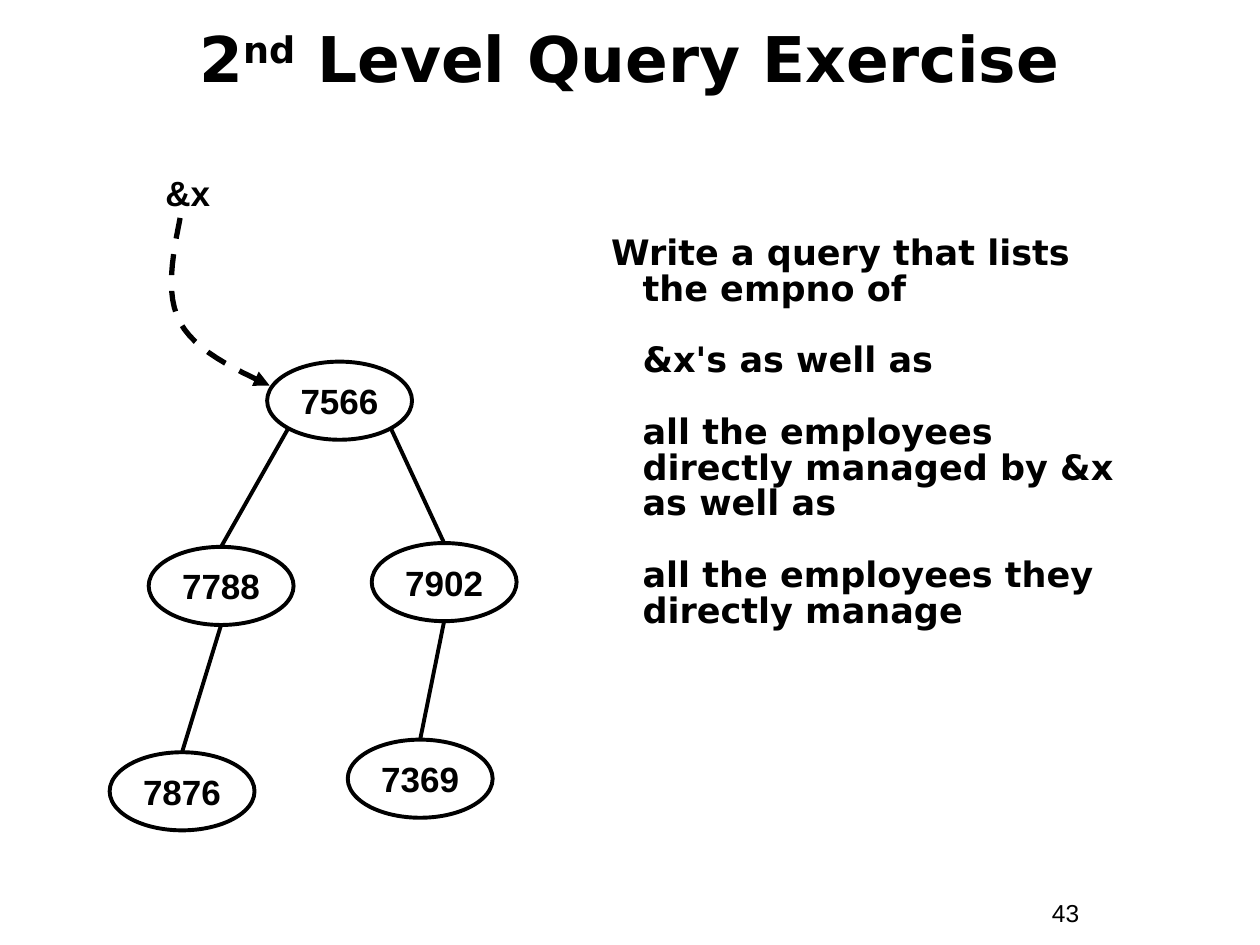
import copy
import math

import pptx
import pptx.dml.color
import pptx.enum.dml
import pptx.enum.shapes
import pptx.enum.text
import pptx.oxml
import pptx.oxml.ns
import pptx.util
from pptx.util import Inches

COLORS = {"ink": "000000"}
HEADING_FONT, LABEL_FONT = "DejaVu Sans", "Arial"
MARGINS = {"margin_left": Inches(0.1), "margin_right": Inches(0.1),
           "margin_top": Inches(0.05), "margin_bottom": Inches(0.05)}
NODE_WIDTH, NODE_HEIGHT = 1.15, 0.62
# Employee number: left and top within the tree region
NODES = {"7566": (1.25, 1.56), "7788": (0.31, 3.03), "7902": (2.08, 3.0),
         "7876": (0, 4.66), "7369": (1.89, 4.56)}
# Manager, employee, side of the manager that the line leaves (-1, 0, 1)
EDGES = [("7566", "7788", -1), ("7566", "7902", 1),
         ("7788", "7876", 0), ("7902", "7369", 0)]
POINTER_CURVES = [
    [(0.56, 0.42), (0.5, 0.72), (0.44, 1.03), (0.56, 1.25)],
    [(0.56, 1.25), (0.68, 1.47), (0.97, 1.61), (1.27, 1.75)],
]
INSTRUCTIONS = [
    "Write a query that lists\vthe empno of",
    "&x's as well as",
    "all the employees\vdirectly managed by &x\vas well as",
    "all the employees they directly manage",
]


def set_attributes(target, values):
    for name, value in values.items():
        setattr(target, name, value)


def ink():
    return pptx.dml.color.RGBColor.from_string(COLORS["ink"])


def format_runs(paragraph, font_name, size, bold=True):
    """Format every run, and give line breaks the same properties."""
    for run in paragraph.runs:
        set_attributes(run.font, {"name": font_name, "size": pptx.util.Pt(size), "bold": bold})
        run.font.color.rgb = ink()
    for line_break in paragraph._p.findall(pptx.oxml.ns.qn("a:br")):
        line_break.insert(0, copy.deepcopy(paragraph.runs[0]._r.rPr))


def place(shape, box):
    set_attributes(shape, dict(zip(("left", "top", "width", "height"), map(Inches, box))))


def format_frame(frame, anchor, wrap=True):
    set_attributes(frame, {**MARGINS, "vertical_anchor": anchor, "word_wrap": wrap,
                           "auto_size": pptx.enum.text.MSO_AUTO_SIZE.NONE})


def format_line(line, width):
    line.color.rgb = ink()
    line.width = pptx.util.Pt(width)


def fill_title(title, box):
    place(title, box)
    format_frame(title.text_frame, pptx.enum.text.MSO_ANCHOR.MIDDLE)
    paragraph = title.text_frame.paragraphs[0]
    paragraph.alignment = pptx.enum.text.PP_ALIGN.CENTER
    for text in ("2", "nd", " Level Query Exercise"):
        paragraph.add_run().text = text
    format_runs(paragraph, HEADING_FONT, 36)
    paragraph.runs[1].font._element.set("baseline", "30000")


def fill_instructions(body, box):
    place(body, box)
    frame = body.text_frame
    format_frame(frame, pptx.enum.text.MSO_ANCHOR.TOP)
    for index, text in enumerate(INSTRUCTIONS):
        paragraph = frame.add_paragraph() if index else frame.paragraphs[0]
        paragraph.text = text
        properties = paragraph._p.get_or_add_pPr()
        properties.set("marL", str(Inches(0.25)))
        properties.set("indent", str(0 if index else Inches(-0.25)))
        properties.append(pptx.oxml.parse_xml(
            f"<a:buNone {pptx.oxml.ns.nsdecls('a')}/>"))
        set_attributes(paragraph, {"line_spacing": 0.85,
                                   "space_before": pptx.util.Pt(20.5 if index else 0),
                                   "alignment": pptx.enum.text.PP_ALIGN.LEFT})
        format_runs(paragraph, HEADING_FONT, 20)


def add_label(slide, box, text, size, bold, alignment):
    label = slide.shapes.add_textbox(*map(Inches, box))
    format_frame(label.text_frame, pptx.enum.text.MSO_ANCHOR.TOP)
    paragraph = label.text_frame.paragraphs[0]
    paragraph.text = text
    paragraph.alignment = alignment
    format_runs(paragraph, LABEL_FONT, size, bold)


def add_node(slide, left, top, number):
    node = slide.shapes.add_shape(pptx.enum.shapes.MSO_SHAPE.OVAL, Inches(left), Inches(top),
                                  Inches(NODE_WIDTH), Inches(NODE_HEIGHT))
    node.shadow.inherit = False
    node.fill.background()
    format_line(node.line, 2.25)
    format_frame(node.text_frame, pptx.enum.text.MSO_ANCHOR.MIDDLE, wrap=False)
    paragraph = node.text_frame.paragraphs[0]
    paragraph.text = number
    paragraph.alignment = pptx.enum.text.PP_ALIGN.CENTER
    format_runs(paragraph, LABEL_FONT, 20)


def add_edge(slide, left, top, manager, employee, side):
    """Join the lower rim of the manager to the top of the employee."""
    angle = math.radians(90 - 45 * side)
    start_x = left + NODES[manager][0] + NODE_WIDTH / 2 * (1 + math.cos(angle))
    start_y = top + NODES[manager][1] + NODE_HEIGHT / 2 * (1 + math.sin(angle))
    end_x = left + NODES[employee][0] + NODE_WIDTH / 2
    end_y = top + NODES[employee][1]
    edge = slide.shapes.add_connector(pptx.enum.shapes.MSO_CONNECTOR.STRAIGHT,
                                      *map(Inches, (start_x, start_y, end_x, end_y)))
    format_line(edge.line, 2.25)
    edge._element.spPr.append(pptx.oxml.parse_xml(
        f"<a:effectLst {pptx.oxml.ns.nsdecls('a')}/>"))


def curve_points(controls, steps=12):
    """Points along a cubic Bezier curve."""
    for step in range(steps + 1):
        t = step / steps
        weights = [math.comb(3, k) * t ** k * (1 - t) ** (3 - k) for k in range(4)]
        yield tuple(sum(weight * point[axis] for weight, point in zip(weights, controls))
                    for axis in (0, 1))


def add_pointer(slide, left, top):
    points = [(Inches(left + x), Inches(top + y))
              for controls in POINTER_CURVES for x, y in curve_points(controls)]
    builder = slide.shapes.build_freeform(*points[0])
    builder.add_line_segments(points[1:], close=False)
    pointer = builder.convert_to_shape()
    pointer.shadow.inherit = False
    pointer.fill.background()
    format_line(pointer.line, 3)
    pointer.line.dash_style = pptx.enum.dml.MSO_LINE.DASH
    pointer.line._get_or_add_ln().append(pptx.oxml.parse_xml(
        f"<a:tailEnd {pptx.oxml.ns.nsdecls('a')} type='triangle'/>"))


def add_employee_tree(slide, left, top):
    for number, (x, y) in NODES.items():
        add_node(slide, left + x, top + y, number)
    for edge in EDGES:
        add_edge(slide, left, top, *edge)
    add_pointer(slide, left, top)
    add_label(slide, (left + 0.33, top, 0.58, 0.44), "&x", 20, True,
              pptx.enum.text.PP_ALIGN.CENTER)


def main():
    presentation = pptx.Presentation()
    set_attributes(presentation, {"slide_width": Inches(10), "slide_height": Inches(7.5)})
    slide = presentation.slides.add_slide(presentation.slide_layouts[1])
    fill_title(slide.shapes.title, (0.33, 0.08, 9.33, 0.75))
    fill_instructions(slide.placeholders[1], (4.75, 1.83, 4.42, 4.17))
    add_employee_tree(slide, 0.87, 1.31)
    add_label(slide, (8.25, 7.08, 0.92, 0.34), "43", 14, False, pptx.enum.text.PP_ALIGN.LEFT)
    presentation.save("out.pptx")


if __name__ == "__main__":
    main()
